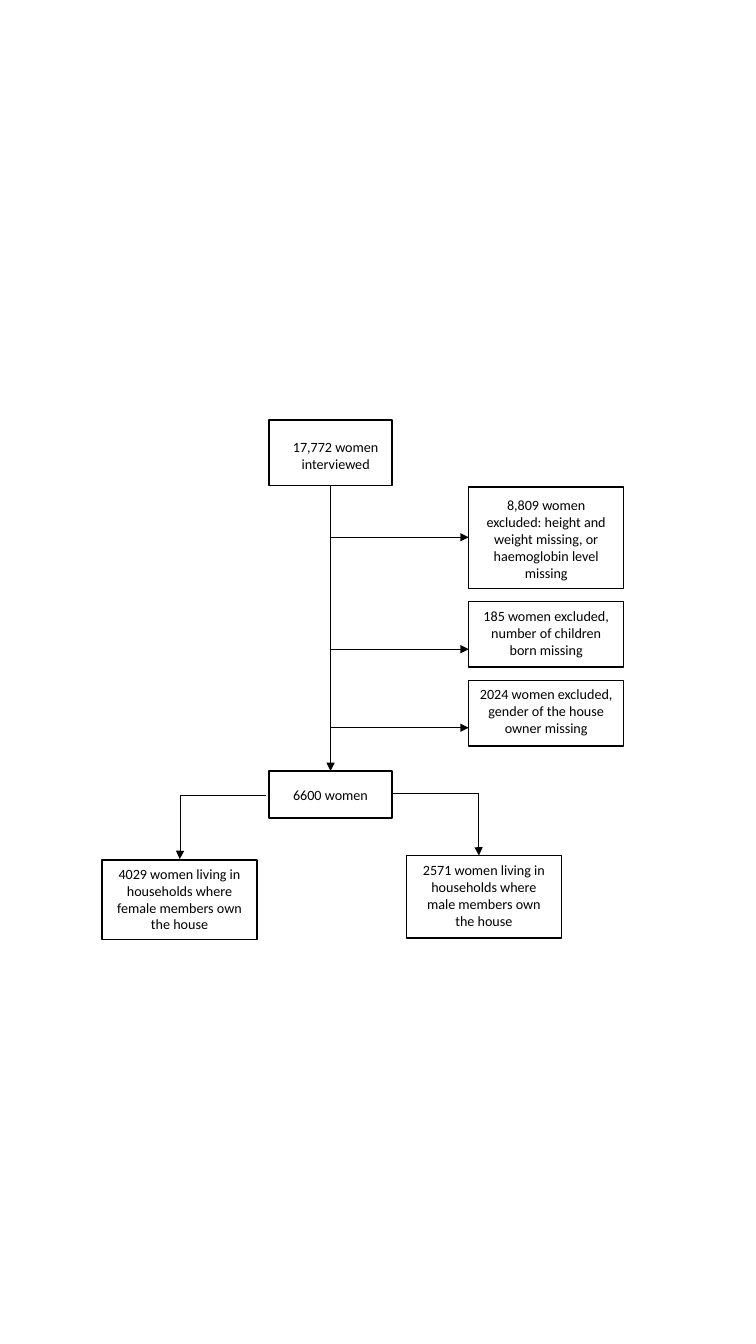
from dataclasses import dataclass

from lxml import etree
from pptx import Presentation
from pptx.dml.color import RGBColor
from pptx.enum.shapes import MSO_CONNECTOR, MSO_SHAPE
from pptx.enum.text import MSO_ANCHOR, PP_ALIGN
from pptx.oxml.ns import qn
from pptx.util import Cm, Pt

RECT = MSO_SHAPE.RECTANGLE
LINE, ELBOW = MSO_CONNECTOR.STRAIGHT, MSO_CONNECTOR.ELBOW
TOP, MID = MSO_ANCHOR.TOP, PP_ALIGN.CENTER
HUES = {"ink": "000000"}
INK = RGBColor.from_string(HUES["ink"])
SIDE = 0.25


@dataclass
class Box:
    text: str
    left: float
    top: float
    width: float
    height: float
    drop: float
    inset: float = SIDE


@dataclass
class Arrow:
    x1: float
    y1: float
    x2: float
    y2: float
    kind: MSO_CONNECTOR = LINE


def write(frame, text: str, *, size: float = 10.1, font: str = "Calibri",
          color: RGBColor = INK, align: PP_ALIGN = MID) -> None:
    para = frame.paragraphs[0]
    para.alignment = align
    run = para.add_run()
    run.text = text
    run.font.size = Pt(size)
    run.font.name = font
    run.font.color.rgb = color


def draw_box(slide, box: Box) -> None:
    shape = slide.shapes.add_shape(
        RECT, Cm(box.left), Cm(box.top), Cm(box.width), Cm(box.height))
    shape.shadow.inherit = False
    shape.fill.background()
    shape.line.color.rgb = INK
    shape.line.width = Pt(1)
    frame = shape.text_frame
    frame.word_wrap = True
    frame.vertical_anchor = TOP
    frame.margin_left, frame.margin_right = Cm(box.inset), Cm(SIDE)
    frame.margin_top, frame.margin_bottom = Cm(box.drop), Cm(0)
    write(frame, box.text)


def draw_arrow(slide, arrow: Arrow) -> None:
    link = slide.shapes.add_connector(
        arrow.kind, Cm(arrow.x1), Cm(arrow.y1), Cm(arrow.x2), Cm(arrow.y2))
    link.line.color.rgb = INK
    link.line.width = Pt(0.5)
    props = link._element.spPr
    etree.SubElement(props.find(qn("a:ln")), qn("a:tailEnd"), type="triangle")
    etree.SubElement(props, qn("a:effectLst"))
    if arrow.kind == ELBOW:
        guides = props.find(qn("a:prstGeom")).get_or_add_avLst()
        etree.SubElement(guides, qn("a:gd"), name="adj1", fmla="val 99600")


STEM_X, STEM_W = 6.78, 3.1
SIDE_X, WIDE = 11.81, 3.91
AXIS = STEM_X + STEM_W / 2

BOXES = [
    Box("17,772 women interviewed", STEM_X, 10.59, STEM_W, 1.65, 0.46, 0.51),
    Box("8,809 women excluded: height and weight missing, or "
        "haemoglobin level missing", SIDE_X, 12.27, WIDE, 2.57, 0.25),
    Box("185 women excluded, number of children born missing",
        SIDE_X, 15.16, WIDE, 1.65, 0.15),
    Box("2024 women excluded, gender of the house owner missing",
        SIDE_X, 17.15, WIDE, 1.65, 0.13),
    Box("6600 women", STEM_X, 19.43, STEM_W, 1.19, 0.38),
    Box("2571 women living in households where male members own the house",
        10.24, 21.56, WIDE, 2.08, 0.15),
    Box("4029 women living in households where female members own the house",
        2.57, 21.67, WIDE, 2.01, 0.13),
]

ARROWS = [
    Arrow(AXIS, 12.24, AXIS, 19.43),
    *[Arrow(AXIS, y, SIDE_X, y) for y in (13.54, 16.36, 18.34)],
    Arrow(6.71, 20.04, 4.53, 21.65, ELBOW),
    Arrow(9.88, 19.99, 12.07, 21.56, ELBOW),
]

deck = Presentation()
deck.slide_width, deck.slide_height = Cm(19.05), Cm(33.87)
page = deck.slides.add_slide(deck.slide_layouts[6])
for box in BOXES:
    draw_box(page, box)
for arrow in ARROWS:
    draw_arrow(page, arrow)
deck.save("out.pptx")
